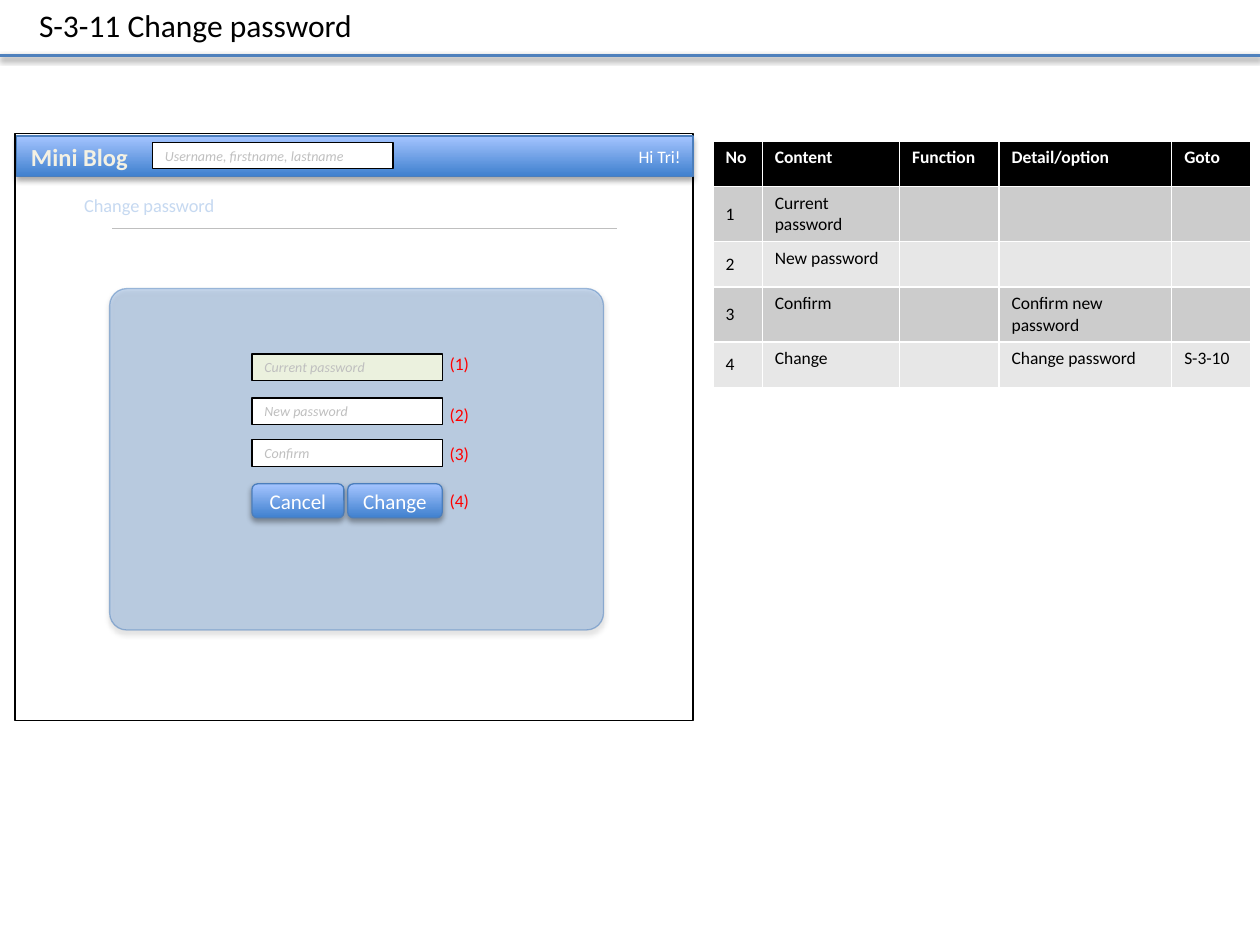
from dataclasses import dataclass
from typing import Any, Optional

from lxml.etree import SubElement as Sub
from pptx import Presentation
from pptx.dml.color import RGBColor as Rgb
from pptx.enum.shapes import MSO_CONNECTOR as Link, MSO_SHAPE as Kind
from pptx.enum.text import MSO_ANCHOR as Anchor, PP_ALIGN as Align
from pptx.oxml.ns import qn
from pptx.util import Inches, Pt

HUES = {
    "black": "000000", "white": "FFFFFF", "red": "FF0000", "grey": "BFBFBF",
    "rule": "4F81BD", "edge": "4B7EBC", "panel": "558ED5", "mint": "EBF1DE",
    "deep": "3F80CE", "light": "A4C4FF", "cream": "F4F1E3", "pale": "C6D9F1",
    "odd": "CCCCCC", "even": "E7E7E7",
}


@dataclass
class Field:
    text: str
    left: float
    top: float
    width: float
    fill: str = "white"


@dataclass
class Bar:
    text: str
    box: tuple
    kind: Any
    size: float
    align: Any


@dataclass
class Label:
    text: str
    box: tuple
    size: float = 10
    hue: str = "red"
    bold: bool = False
    align: Any = Align.LEFT


def tint(name: str) -> Rgb:
    return Rgb.from_string(HUES[name])


def write(frame: Any, text: str, *, size: float, hue: str = "black",
          bold: bool = False, italic: bool = False, align: Any = Align.LEFT,
          anchor: Any = Anchor.TOP, wrap: Optional[bool] = None) -> None:
    frame.vertical_anchor = anchor
    if wrap is not None:
        frame.word_wrap = wrap
    para = frame.paragraphs[0]
    para.alignment = align
    run = para.add_run()
    run.text = text
    font = run.font
    font.name, font.size, font.bold, font.italic = "Calibri", Pt(size), bold, italic
    font.color.rgb = tint(hue)


def fade(fill: Any, value: int) -> None:
    color = fill.find(f".//{qn('a:srgbClr')}")
    Sub(color, qn("a:alpha"), val=str(value * 1000))


def shade(props: Any, dist: float, value: int) -> None:
    old = props.find(qn("a:effectLst"))
    effect = Sub(props, qn("a:effectLst")) if old is None else old
    cast = Sub(effect, qn("a:outerShdw"), blurRad=str(Pt(3.1)),
               dist=str(Pt(dist)), dir="5400000", rotWithShape="0")
    color = Sub(cast, qn("a:srgbClr"), val=HUES["black"])
    Sub(color, qn("a:alpha"), val=str(value * 1000))


def block(kind: Any, box: tuple, fill: str, line: str) -> Any:
    shape = slide.shapes.add_shape(kind, *map(Inches, box))
    shape.shadow.inherit = False
    shape.fill.solid()
    shape.fill.fore_color.rgb = tint(fill)
    shape.line.color.rgb = tint(line)
    shape.line.width = Pt(0.75)
    return shape


def rule(left: float, right: float, top: float, hue: str, width: float) -> Any:
    line = slide.shapes.add_connector(
        Link.STRAIGHT, Inches(left), Inches(top), Inches(right), Inches(top))
    line.line.color.rgb = tint(hue)
    line.line.width = Pt(width)
    props = line._element.spPr
    Sub(props, qn("a:effectLst"))
    return props


def draw_bar(bar: Bar) -> None:
    shape = block(bar.kind, bar.box, "deep", "edge")
    shape.fill.gradient()
    shape.fill.gradient_angle = 90
    for stop, hue, place in zip(shape.fill.gradient_stops, ("deep", "light"), (0, 1)):
        stop.color.rgb = tint(hue)
        stop.position = place
    shade(shape._element.spPr, 1.8, 35)
    write(shape.text_frame, bar.text, size=bar.size, hue="white",
          align=bar.align, anchor=Anchor.MIDDLE)


def draw_field(field: Field) -> None:
    box = (field.left, field.top, field.width, 0.21)
    shape = block(Kind.RECTANGLE, box, field.fill, "black")
    write(shape.text_frame, field.text, size=8, hue="grey", italic=True,
          anchor=Anchor.MIDDLE)


def draw_label(label: Label) -> None:
    box = slide.shapes.add_textbox(*map(Inches, label.box))
    write(box.text_frame, label.text, size=label.size, hue=label.hue,
          bold=label.bold, align=label.align, wrap=False)


def draw_table(rows: list, widths: list) -> None:
    high = 0.36
    table = slide.shapes.add_table(
        len(rows), len(widths), Inches(5.66), Inches(1.12),
        Inches(sum(widths)), Inches(high * len(rows))).table
    for col, width in zip(table.columns, widths):
        col.width = Inches(width)
    for i, row in enumerate(rows):
        table.rows[i].height = Inches(high)
        fill = "black" if i == 0 else "odd" if i % 2 else "even"
        for j, text in enumerate(row):
            cell = table.cell(i, j)
            cell.fill.solid()
            cell.fill.fore_color.rgb = tint(fill)
            if text:
                write(cell.text_frame, text, size=10, bold=i == 0,
                      hue="black" if i else "white")
            else:
                Sub(cell.text_frame.paragraphs[0]._p, qn("a:endParaRPr"), sz="1000")
            if i and j == 0:
                cell.vertical_anchor = Anchor.MIDDLE


deck = Presentation()
deck.slide_width, deck.slide_height = Inches(10), Inches(7.5)
slide = deck.slides.add_slide(deck.slide_layouts[5])

shade(rule(0, 10, 0.44, "rule", 2), 1.6, 38)
title = slide.shapes.title
title.left, title.top, title.width, title.height = map(Inches, (0.21, 0, 2.72, 0.4))
write(title.text_frame, "S-3-11 Change password", size=18, wrap=False)

block(Kind.RECTANGLE, (0.12, 1.06, 5.38, 4.66), "white", "black")
draw_bar(Bar("Hi Tri!", (0.13, 1.08, 5.37, 0.32), Kind.RECTANGLE, 10, Align.RIGHT))
rule(0.89, 4.9, 1.81, "grey", 0.25)

draw_table([
    ["No", "Content", "Function", "Detail/option", "Goto"],
    ["1", "Current password", "", "", ""],
    ["2", "New password", "", "", ""],
    ["3", "Confirm", "", "Confirm new password", ""],
    ["4", "Change", "", "Change password", "S-3-10"],
], [0.39, 1.09, 0.79, 1.37, 0.63])

panel = block(Kind.ROUNDED_RECTANGLE, (0.87, 2.29, 3.92, 2.71), "panel", "edge")
panel.adjustments[0] = 0.05
props = panel._element.spPr
fade(props.find(qn("a:solidFill")), 30)
fade(props.find(qn("a:ln")), 50)
shade(props, 1.8, 35)

for field in (
    Field("Username, firstname, lastname", 1.21, 1.13, 1.91),
    Field("Current password", 2, 2.81, 1.51, "mint"),
    Field("New password", 2, 3.16, 1.51),
    Field("Confirm", 2, 3.49, 1.51),
):
    draw_field(field)

for text, left, width in (("Cancel", 2, 0.73), ("Change", 2.76, 0.75)):
    draw_bar(Bar(text, (left, 3.84, width, 0.27), Kind.ROUNDED_RECTANGLE, 12,
                 Align.CENTER))

for label in (
    Label("Mini Blog", (0.14, 1.08, 0.98, 0.34), 14, "cream", True, Align.CENTER),
    Label("Change password", (0.57, 1.49, 1.26, 0.28), 10.5, "pale"),
):
    draw_label(label)
for mark, top in enumerate((2.75, 3.16, 3.47, 3.84), 1):
    draw_label(Label(f"({mark})", (3.47, top, 0.36, 0.27)))

deck.save("out.pptx")
